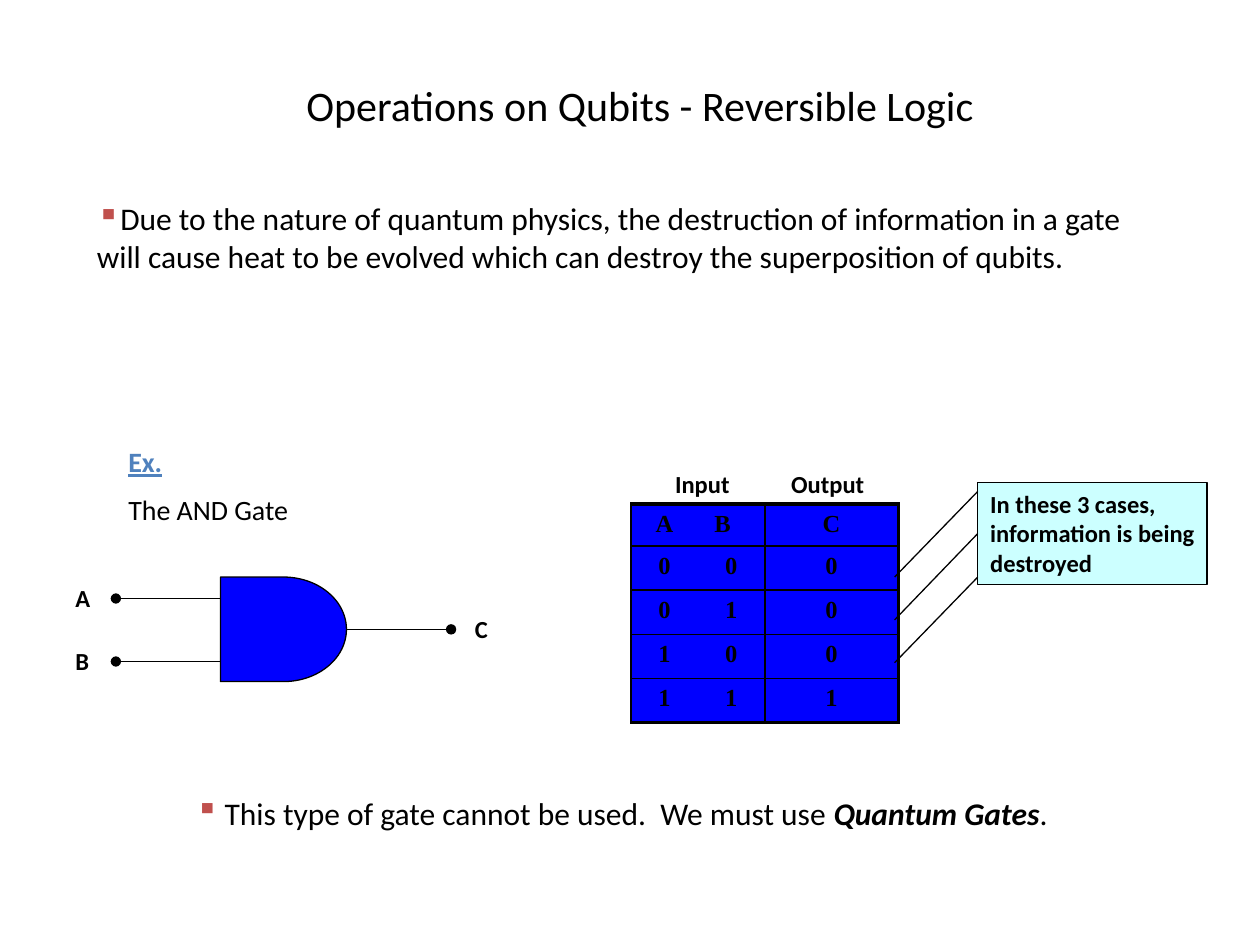
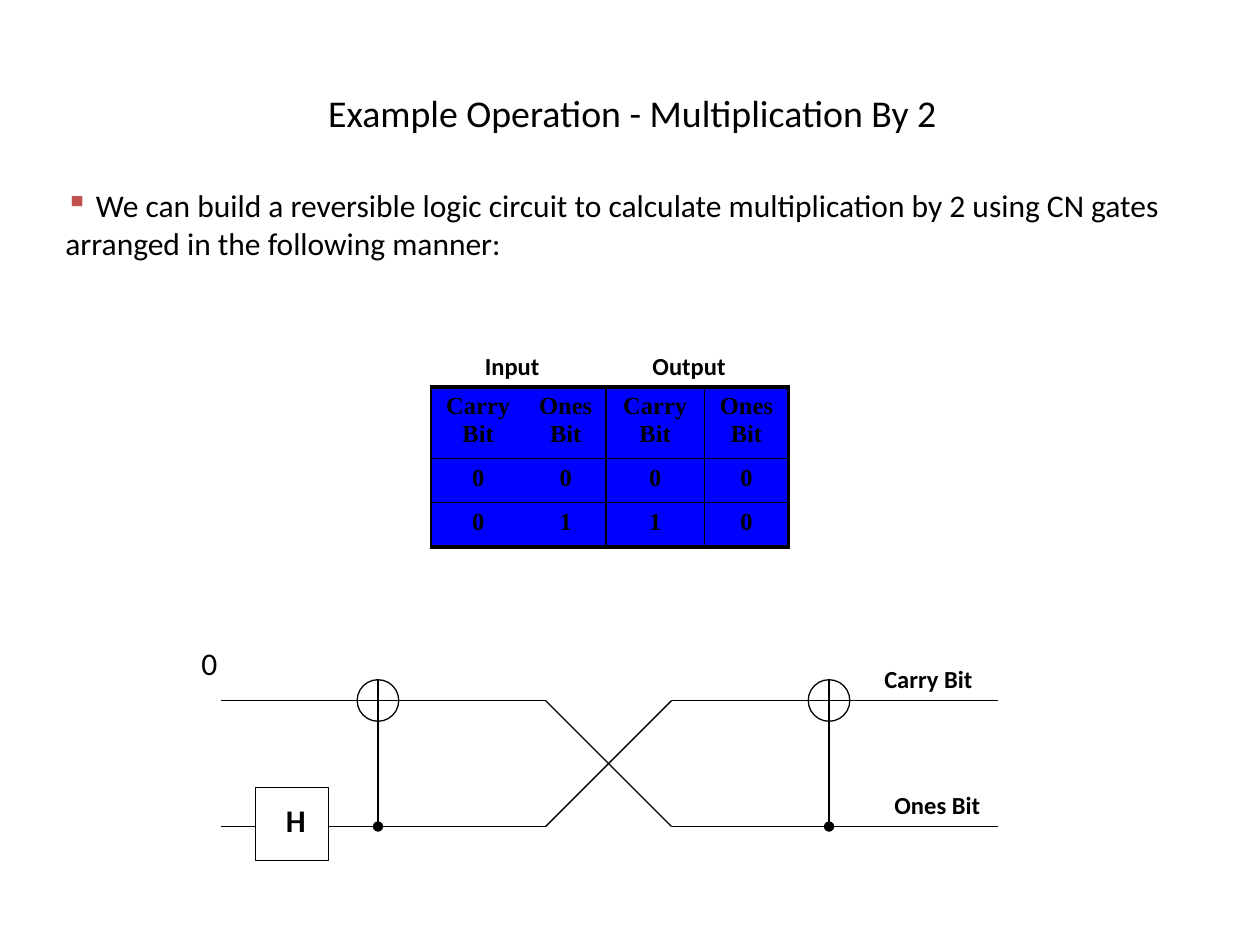
import dataclasses

import lxml.etree
import pptx
import pptx.dml.color
import pptx.enum.shapes
import pptx.enum.text
import pptx.oxml.ns
import pptx.util

Inches = pptx.util.Inches
Pt = pptx.util.Pt
SHAPE = pptx.enum.shapes.MSO_SHAPE
CENTER = pptx.enum.text.PP_ALIGN.CENTER


def rgb(value):
    return pptx.dml.color.RGBColor.from_string(value)


@dataclasses.dataclass(frozen=True)
class Theme:
    ink: str = "000000"
    paper: str = "FFFFFF"
    gate: str = "0000FF"
    callout: str = "CCFFFF"
    accent: str = "4F81BD"
    bullet: str = "C0504D"
    body_font: str = "Calibri"
    table_font: str = "Times New Roman"
    title_size: float = 24
    small_title_size: float = 21.6
    body_size: float = 18
    example_size: float = 16
    label_size: float = 14
    thin: float = 0.75
    grid: float = 1
    frame: float = 2.25
    plain_table: str = "{2D5ABB26-0587-4C30-8999-92F81FD0307C}"


THEME = Theme()


@dataclasses.dataclass(frozen=True)
class Region:
    left: float
    top: float
    width: float
    height: float

    def inner(self, dx, dy, width, height):
        return Region(self.left + dx, self.top + dy, width, height)

    def point(self, dx, dy):
        return Inches(self.left + dx), Inches(self.top + dy)

    def lengths(self):
        return [Inches(v) for v in dataclasses.astuple(self)]


def add_xml(parent, tag, **attributes):
    return lxml.etree.SubElement(parent, pptx.oxml.ns.qn(tag), attributes)


def style_font(font, size, bold=False, color=THEME.ink, name=THEME.body_font):
    font.name = name
    font.size = Pt(size)
    font.bold = bold
    font.color.rgb = rgb(color)


def style_runs(paragraph, size, **style):
    for run in paragraph.runs:
        style_font(run.font, size, **style)


def add_text(slide, region, text, size, align=None, **style):
    """Add a wrapping text box and return its text frame."""
    frame = slide.shapes.add_textbox(*region.lengths()).text_frame
    frame.word_wrap = True
    frame.text = text
    for paragraph in frame.paragraphs:
        paragraph.alignment = align
        style_runs(paragraph, size, **style)
    return frame


def add_label(slide, region, text):
    return add_text(slide, region, text, THEME.label_size, bold=True)


def add_title(slide, region, text, size):
    frame = add_text(slide, region, text, size, align=CENTER)
    frame.vertical_anchor = pptx.enum.text.MSO_ANCHOR.MIDDLE


def add_bullet(paragraph, margin=0, hanging=0):
    properties = paragraph._p.get_or_add_pPr()
    properties.set("marL", str(Inches(margin)))
    properties.set("indent", str(-Inches(hanging)))
    color = add_xml(properties, "a:buClr")
    add_xml(color, "a:srgbClr", val=THEME.bullet)
    add_xml(properties, "a:buChar", char="▪")


def add_outlined(slide, kind, region, fill=None):
    shape = slide.shapes.add_shape(kind, *region.lengths())
    shape.shadow.inherit = False
    if fill:
        shape.fill.solid()
        shape.fill.fore_color.rgb = rgb(fill)
    else:
        shape.fill.background()
    shape.line.color.rgb = rgb(THEME.ink)
    shape.line.width = Pt(THEME.thin)
    return shape


def add_wire(slide, region, start, end, dot=False):
    """Draw a line between two points of the region, with a dot at its end if asked."""
    wire = slide.shapes.add_connector(
        pptx.enum.shapes.MSO_CONNECTOR.STRAIGHT,
        *region.point(*start), *region.point(*end))
    wire.line.color.rgb = rgb(THEME.ink)
    wire.line.width = Pt(THEME.thin)
    if dot:
        add_xml(wire.line._get_or_add_ln(), "a:tailEnd", type="oval")
    add_xml(wire._element.spPr, "a:effectLst")
    return wire


def set_borders(cell, widths):
    """Put borders before the cell's fill; widths maps side tags to points."""
    properties = cell._tc.get_or_add_tcPr()
    for position, (side, width) in enumerate(widths.items()):
        border = add_xml(properties, "a:" + side, w=str(Pt(width)))
        fill = add_xml(border, "a:solidFill")
        add_xml(fill, "a:srgbClr", val=THEME.ink)
        properties.insert(position, border)


def truth_table(slide, region, rows, columns, header_height, headings,
                second_header_margin=0.1):
    """Draw Input and Output headings over a grid divided after its second column."""
    heading_height, row_height = 0.33, 0.35
    for text, dx, width in headings:
        add_label(slide, region.inner(dx, 0, width, heading_height), text)

    grid = region.inner(0, heading_height, region.width, region.height - heading_height)
    table = slide.shapes.add_table(len(rows), len(columns), *grid.lengths()).table
    table.first_row = table.horz_banding = False
    table._tbl.tblPr.find(pptx.oxml.ns.qn("a:tableStyleId")).text = THEME.plain_table
    for column, width in zip(table.columns, columns):
        column.width = Inches(width)
    last_row, last_column = len(rows) - 1, len(columns) - 1
    for r, values in enumerate(rows):
        table.rows[r].height = Inches(row_height if r else header_height)
        for c, value in enumerate(values):
            cell = table.cell(r, c)
            cell.fill.solid()
            cell.fill.fore_color.rgb = rgb(THEME.gate)
            cell.text = value
            paragraph = cell.text_frame.paragraphs[0]
            paragraph.alignment = CENTER
            style_runs(paragraph, THEME.label_size, bold=True, name=THEME.table_font)
            widths = {}
            if c in (0, 2):
                widths["lnL"] = THEME.grid
            if c in (1, last_column):
                widths["lnR"] = THEME.frame if c == last_column else THEME.grid
            widths["lnT"] = THEME.grid if r else THEME.frame
            widths["lnB"] = THEME.frame if r == last_row else THEME.grid
            set_borders(cell, widths)
    table.cell(0, 1).margin_right = Inches(second_header_margin)


def and_gate(slide, region):
    gate = add_outlined(slide, SHAPE.FLOWCHART_DELAY,
                        region.inner(1.25, 0, 1, region.height), THEME.gate)
    middle = region.height / 2
    for name, dy in (("A", 0.17), ("B", 0.67)):
        add_wire(slide, region, (1.25, dy), (0.42, dy), dot=True)
        add_label(slide, region.inner(0, dy - 0.17, 0.33, 0.33), name)
    output = add_wire(slide, region, (2.25, middle), (3.08, middle), dot=True)
    output.begin_connect(gate, 3)
    add_label(slide, region.inner(3.17, middle - 0.17, 0.33, 0.33), "C")


def destroyed_cases(slide, region):
    """Link three table rows to the note about lost information."""
    note = add_outlined(slide, SHAPE.RECTANGLE,
                        region.inner(0.66, 0, 1.82, 0.81), THEME.callout)
    frame = note.text_frame
    frame.word_wrap = True
    frame.vertical_anchor = pptx.enum.text.MSO_ANCHOR.TOP
    frame.text = "In these 3 cases, information is being destroyed"
    frame.paragraphs[0].alignment = pptx.enum.text.PP_ALIGN.LEFT
    style_runs(frame.paragraphs[0], THEME.label_size, bold=True)
    for case in range(3):
        note_y = 0.07 + 0.34 * case
        link = add_wire(slide, region, (0, note_y + 0.68), (0.66, note_y))
        if case == 1:
            link.end_connect(note, 1)


def example_caption(slide, region):
    frame = add_text(slide, region, "Ex.\nThe AND Gate", THEME.example_size)
    heading, name = frame.paragraphs
    style_runs(heading, THEME.example_size, bold=True, color=THEME.accent)
    heading.runs[0].font.underline = True
    name.space_before = Pt(THEME.example_size / 2)


def conclusion(slide, region):
    frame = add_text(slide, region, "This type of gate cannot be used.  We must use ",
                     THEME.body_size, align=CENTER)
    paragraph = frame.paragraphs[0]
    add_bullet(paragraph, margin=0.09, hanging=0.23)
    for text, strong in (("Quantum Gates", True), (".", False)):
        run = paragraph.add_run()
        run.text = text
        style_font(run.font, THEME.body_size, bold=strong)
        run.font.italic = strong


def statement(slide, region, text):
    frame = add_text(slide, region, text, THEME.body_size)
    add_bullet(frame.paragraphs[0])


def cn_gate(slide, region, x, carry_y, ones_y):
    radius = 0.165
    add_outlined(slide, SHAPE.FLOWCHART_OR,
                 region.inner(x - radius, carry_y - radius, 2 * radius, 2 * radius))
    add_wire(slide, region, (x, carry_y + radius), (x, ones_y), dot=True)


def doubling_circuit(slide, region):
    carry_y, ones_y = 0.5, 1.5
    cross_start, cross_end = 2.58, 3.58
    for y, crossed_y in ((carry_y, ones_y), (ones_y, carry_y)):
        add_wire(slide, region, (0, y), (cross_start, y))
        add_wire(slide, region, (cross_start, y), (cross_end, crossed_y))
        add_wire(slide, region, (cross_end, y), (region.width, y))
    for x in (1.25, 4.83):
        cn_gate(slide, region, x, carry_y, ones_y)
    add_outlined(slide, SHAPE.RECTANGLE, region.inner(0.28, 1.19, 0.58, 0.58), THEME.paper)
    add_text(slide, region.inner(0.42, 1.25, 0.33, 0.5), "H", THEME.body_size,
             align=CENTER, bold=True)
    add_text(slide, region.inner(-0.25, 0, 0.33, 0.5), "0", THEME.body_size)
    add_label(slide, region.inner(5.17, carry_y - 0.34, 1.17, 0.33), "Carry Bit")
    add_label(slide, region.inner(5.25, ones_y - 0.34, 1.08, 0.33), "Ones Bit")


def reversible_logic_slide(slide):
    add_title(slide, Region(0.58, 0.58, 9, 0.5),
              "Operations on Qubits - Reversible Logic", THEME.title_size)
    statement(slide, Region(0.67, 1.53, 8.42, 1.3),
              "Due to the nature of quantum physics, the destruction of information "
              "in a gate will cause heat to be evolved which can destroy the "
              "superposition of qubits.")
    example_caption(slide, Region(0.92, 3.48, 1.67, 0.77))
    and_gate(slide, Region(0.5, 4.58, 3.5, 0.83))
    truth_table(slide, Region(5.01, 3.67, 2.12, 2.05),
                ["ABC", "000", "010", "100", "111"], [0.53, 0.53, 1.06], 0.32,
                [("Input", 0.25, 0.73), ("Output", 1.17, 0.92)],
                second_header_margin=0.24)
    destroyed_cases(slide, Region(7.1, 3.83, 2.48, 1.43))
    conclusion(slide, Region(1.08, 6.25, 7.75, 0.9))


def multiplication_slide(slide):
    add_title(slide, Region(0.52, 0.68, 9, 0.42),
              "Example Operation - Multiplication By 2", THEME.small_title_size)
    statement(slide, Region(0.42, 1.43, 9.17, 0.9),
              " We can build a reversible logic circuit to calculate multiplication "
              "by 2 using CN gates arranged in the following manner:")
    truth_table(slide, Region(3.42, 2.74, 2.84, 1.6),
                [["Carry Bit", "Ones Bit"] * 2, "0000", "0110"],
                [0.75, 0.64, 0.78, 0.67], 0.57,
                [("Input", 0.33, 0.73), ("Output", 1.66, 0.92)])
    doubling_circuit(slide, Region(1.75, 5.06, 6.17, 1.77))


def main():
    deck = pptx.Presentation()
    deck.slide_width, deck.slide_height = Inches(10), Inches(7.5)
    for build in (reversible_logic_slide, multiplication_slide):
        build(deck.slides.add_slide(deck.slide_layouts[6]))
    deck.save("out.pptx")


if __name__ == "__main__":
    main()
